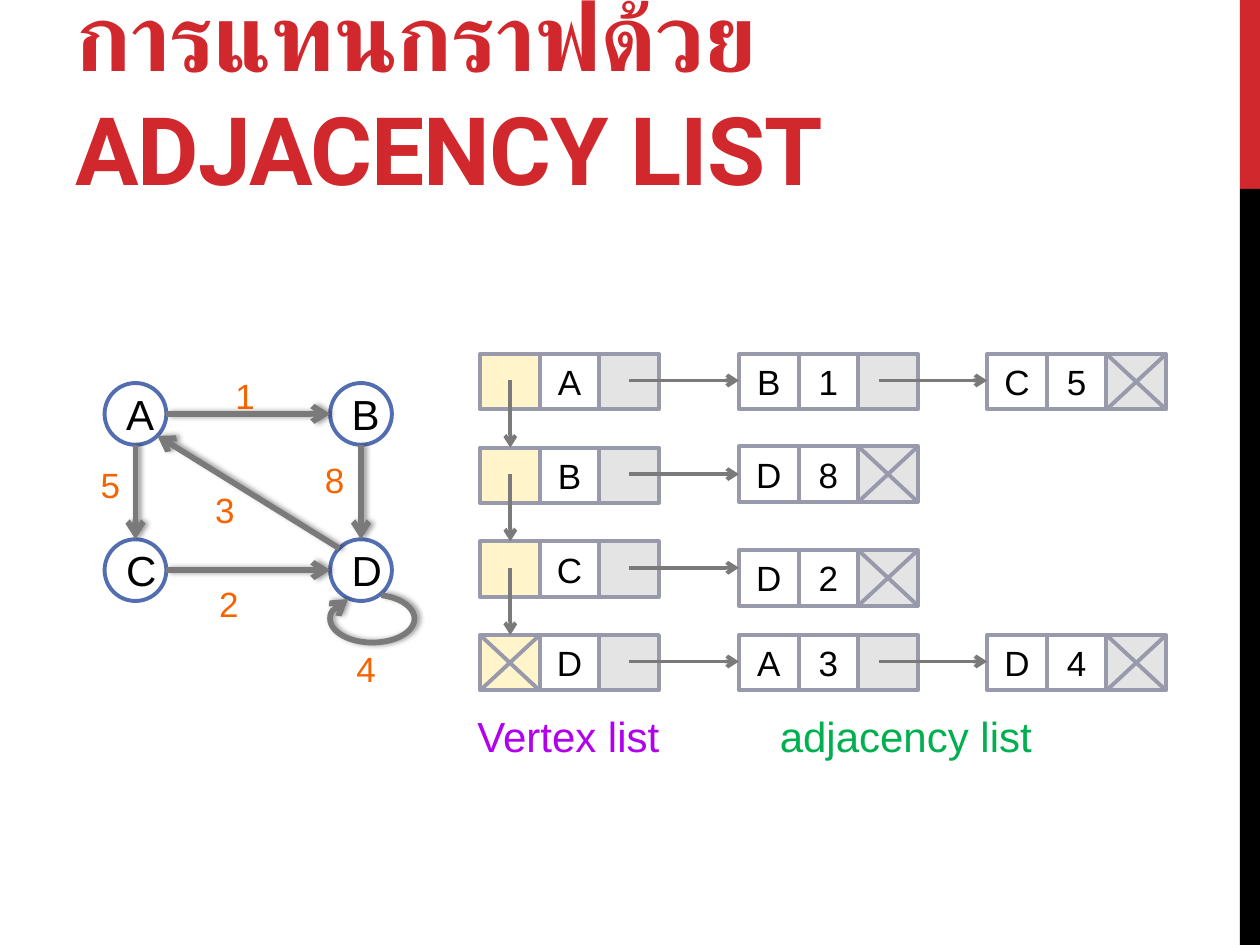
"""Build a slide that shows a weighted graph beside its adjacency list."""
from dataclasses import dataclass
from math import hypot

from lxml import etree
from pptx import Presentation
from pptx.dml.color import RGBColor
from pptx.enum.shapes import MSO_CONNECTOR, MSO_SHAPE
from pptx.enum.text import MSO_ANCHOR, MSO_AUTO_SIZE, PP_ALIGN
from pptx.oxml import parse_xml
from pptx.oxml.ns import nsdecls, qn
from pptx.util import Inches, Pt

RECTANGLE, OVAL, ARC = MSO_SHAPE.RECTANGLE, MSO_SHAPE.OVAL, MSO_SHAPE.ARC
STRAIGHT = MSO_CONNECTOR.STRAIGHT
MIDDLE, BOTTOM = MSO_ANCHOR.MIDDLE, MSO_ANCHOR.BOTTOM
FIT_SHAPE = MSO_AUTO_SIZE.SHAPE_TO_FIT_TEXT
LEFT, CENTER = PP_ALIGN.LEFT, PP_ALIGN.CENTER

COLUMNS, ROWS = 100, 75
UNIT = Inches(0.1)


@dataclass(frozen=True)
class Theme:
    """Colours, fonts and sizes of the slide."""

    red: str = "D1282E"
    black: str = "000000"
    white: str = "FFFFFF"
    node_line: str = "526DB0"
    edge: str = "7A7A7A"
    cell_line: str = "989AAC"
    pointer: str = "E4E4E4"
    vertex: str = "FFF4CA"
    weight: str = "F66400"
    purple: str = "B000EE"
    green: str = "00B050"
    title_font: str = "Roboto"
    body_font: str = "Arial"
    title_size: float = 54
    large: float = 24
    small: float = 20
    thin: float = 2.25
    thick: float = 3.25


THEME = Theme()


@dataclass(frozen=True)
class Box:
    """A rectangle measured in grid columns and rows."""

    left: float
    top: float
    width: float
    height: float

    def inner(self, x, y, width, height):
        """Return a box placed relative to this one."""
        return Box(self.left + x, self.top + y, width, height)

    def point(self, x, y):
        """Return the grid point at the given offset."""
        return self.left + x, self.top + y

    def rim(self, x, y):
        """Return the point of the inscribed ellipse in a direction."""
        length = hypot(x, y)
        return self.point(self.width / 2 * (1 + x / length),
                          self.height / 2 * (1 + y / length))

    def lengths(self):
        """Return left, top, width and height as slide lengths."""
        return [round(value * UNIT)
                for value in (self.left, self.top, self.width, self.height)]


def write(shape, text, size, color, font=THEME.body_font, align=LEFT):
    """Put one styled paragraph into a shape."""
    paragraph = shape.text_frame.paragraphs[0]
    paragraph.text = text
    paragraph.alignment = align
    paragraph.font.name = font
    paragraph.font.size = Pt(size)
    paragraph.font.color.rgb = RGBColor.from_string(color)
    return paragraph


def add_label(slide, box, text, size, color):
    """Add a single-line text box."""
    shape = slide.shapes.add_textbox(*box.lengths())
    shape.text_frame.word_wrap = False
    shape.text_frame.auto_size = FIT_SHAPE
    write(shape, text, size, color)


def add_block(slide, kind, box, fill, line=None, text="", size=THEME.small):
    """Add a filled shape with an optional outline and centred text."""
    shape = slide.shapes.add_shape(kind, *box.lengths())
    shape.shadow.inherit = False
    shape.fill.solid()
    shape.fill.fore_color.rgb = RGBColor.from_string(fill)
    if line:
        shape.line.color.rgb = RGBColor.from_string(line)
        shape.line.width = Pt(THEME.thin)
    else:
        shape.line.fill.background()
    if text:
        shape.text_frame.word_wrap = True
        shape.text_frame.vertical_anchor = MIDDLE
        write(shape, text, size, THEME.black, align=CENTER)


def style_stroke(shape, color, width, arrow=False, shadow=False):
    """Set the line of a stroke, its arrowhead and its shadow."""
    shape.line.color.rgb = RGBColor.from_string(color)
    shape.line.width = Pt(width)
    properties = shape._element.spPr
    if arrow:
        etree.SubElement(properties.find(qn("a:ln")), qn("a:tailEnd"), type="arrow")
    content = (f'<a:outerShdw blurRad="{Pt(3.1)}" dist="{Pt(1.8)}" dir="0">'
               f'<a:srgbClr val="{THEME.black}"><a:alpha val="40000"/></a:srgbClr>'
               '</a:outerShdw>') if shadow else ""
    properties.append(parse_xml(
        f'<a:effectLst {nsdecls("a")}>{content}</a:effectLst>'))


def add_line(slide, start, end, color, width=THEME.thin, arrow=False, shadow=False):
    """Add a straight line between two grid points."""
    ends = [round(value * UNIT) for value in (*start, *end)]
    line = slide.shapes.add_connector(STRAIGHT, *ends)
    style_stroke(line, color, width, arrow, shadow)


def add_side_band(slide, box):
    """Draw the two-colour band."""
    split = box.height / 5
    add_block(slide, RECTANGLE, box.inner(0, 0, box.width, split), THEME.red)
    add_block(slide, RECTANGLE,
              box.inner(0, split, box.width, box.height - split), THEME.black)


def add_title(slide, box):
    """Write the title at the foot of its box."""
    shape = slide.shapes.add_textbox(*box.lengths())
    shape.text_frame.word_wrap = True
    shape.text_frame.vertical_anchor = BOTTOM
    paragraph = write(shape, "การแทนกราฟด้วย ADJACENCY LIST",
                      THEME.title_size, THEME.red, THEME.title_font)
    paragraph.font.bold = True
    paragraph.runs[0]._r.get_or_add_rPr().set("spc", "-60")


def add_graph(slide, box):
    """Draw the nodes, directed edges and weights of the graph."""
    size = 4.9
    across, down = box.width - size, box.height - size
    places = {"A": (0, 0), "B": (across, 0), "C": (0, down), "D": (across, down)}
    nodes = {name: box.inner(*place, size, size) for name, place in places.items()}
    for name, node in nodes.items():
        add_block(slide, OVAL, node, THEME.white, THEME.node_line, name, THEME.large)
    edges = (("A", "B", 1, 0), ("A", "C", 0, 1), ("C", "D", 1, 0),
             ("B", "D", 0, 1), ("D", "A", -1, -1))
    for source, target, x, y in edges:
        add_line(slide, nodes[source].rim(x, y), nodes[target].rim(-x, -y),
                 THEME.edge, THEME.thick, arrow=True, shadow=True)
    loop = slide.shapes.add_shape(ARC, *nodes["D"].inner(0, 4.4, 6.7, 3.8).lengths())
    loop.fill.background()
    loop.adjustments[0], loop.adjustments[1] = 174.86, 131.41
    style_stroke(loop, THEME.edge, THEME.thick, arrow=True, shadow=True)
    weights = (("1", 9.4, -1.2), ("2", 8.1, 15.3), ("3", 7.8, 7.9),
               ("4", 19, 20.5), ("5", -1.3, 5.9), ("8", 16.5, 5.5))
    for text, x, y in weights:
        add_label(slide, box.inner(x, y, 3.6, 4.4), text, THEME.small, THEME.weight)


def add_record(slide, box, fields, crossed=None):
    """Draw a row of (text, fill) cells and cross out one of them."""
    width = box.width / len(fields)
    for index, (text, fill) in enumerate(fields):
        cell = box.inner(index * width, 0, width, box.height)
        add_block(slide, RECTANGLE, cell, fill, THEME.cell_line, text)
        if index == crossed:
            for start, end in ((0, box.height), (box.height, 0)):
                add_line(slide, cell.point(0, start), cell.point(width, end),
                         THEME.cell_line)


def add_lists(slide, box):
    """Draw the vertex list, the adjacency lists and their pointers."""
    width, height, middle = 14.2, 4.4, 2.1
    row_step = (box.height - height) / 3
    lists = (("A", 0, (("B", "1"), ("C", "5"))), ("B", -0.1, (("D", "8"),)),
             ("C", 0.7, (("D", "2"),)), ("D", 0, (("A", "3"), ("D", "4"))))
    pointers = []
    for row, (vertex, shift, entries) in enumerate(lists):
        top = row * row_step
        last_row = row == len(lists) - 1
        add_record(slide, box.inner(0, top, width, height),
                   (("", THEME.vertex), (vertex, THEME.white), ("", THEME.pointer)),
                   0 if last_row else None)
        if not last_row:
            pointers.append(((2.4, top + middle), (2.4, top + row_step)))
        start = 11.8
        for index, (name, weight) in enumerate(entries):
            left = 20.55 + 19.7 * index
            pointers.append(((start, top + middle), (left, top + middle)))
            start = left + 11.1
            add_record(slide, box.inner(left, top + shift, width, height),
                       ((name, THEME.white), (weight, THEME.white), ("", THEME.pointer)),
                       2 if index == len(entries) - 1 else None)
    for start, end in pointers:
        add_line(slide, box.point(*start), box.point(*end), THEME.edge, arrow=True)
    captions = (("Vertex list", -1.2, 16.6, THEME.purple),
                ("adjacency list", 22.8, 22.2, THEME.green))
    for text, left, caption_width, color in captions:
        add_label(slide, box.inner(left, box.height + 1.1, caption_width, 5),
                  text, THEME.large, color)


def main():
    """Build and save the presentation."""
    presentation = Presentation()
    presentation.slide_width, presentation.slide_height = COLUMNS * UNIT, ROWS * UNIT
    slide = presentation.slides.add_slide(presentation.slide_layouts[6])
    add_side_band(slide, Box(98.4, 0, 1.6, ROWS))
    add_title(slide, Box(5, 1.7, 87.5, 15))
    add_graph(slide, Box(8.3, 30.4, 22.8, 17.3))
    add_lists(slide, Box(38.1, 28.1, 54.4, 26.7))
    presentation.save("out.pptx")


if __name__ == "__main__":
    main()
